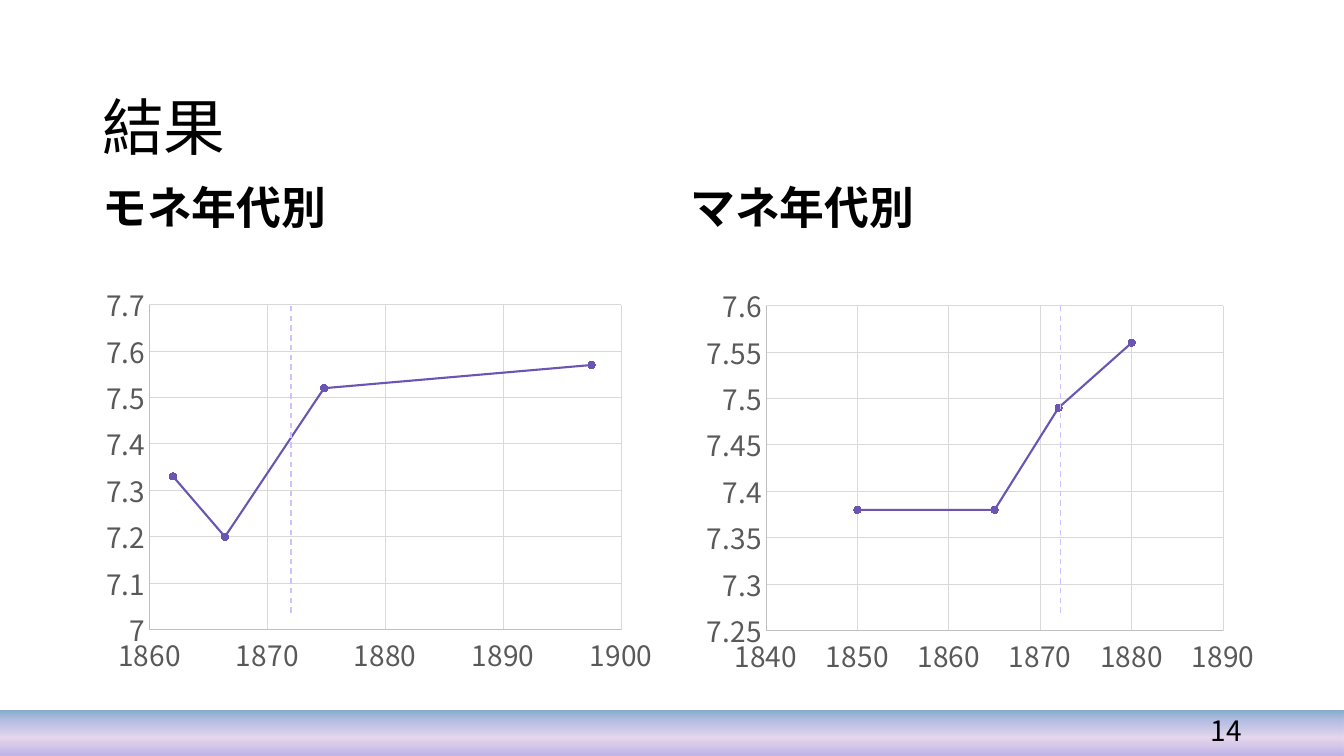
"""Build the results slide with two scatter charts of values by year."""
from dataclasses import dataclass
from typing import Any

from lxml import etree
from pptx import Presentation
from pptx import util as u
from pptx.chart import data as chart_data
from pptx.dml.color import RGBColor
from pptx.enum import chart as charts, dml, shapes, text
from pptx.oxml import ns, parse_xml

Pt = u.Pt
FONT = "Noto Sans CJK JP"
BLACK = RGBColor(0x00, 0x00, 0x00)
LABEL_GRAY = RGBColor(0x59, 0x59, 0x59)
AXIS_GRAY = RGBColor(0xBF, 0xBF, 0xBF)
GRID_GRAY = RGBColor(0xD9, 0xD9, 0xD9)
SERIES_PURPLE = RGBColor(0x6A, 0x56, 0xB2)
MARK_LILAC = RGBColor(0xD1, 0xC1, 0xFE)
BAND_STOPS = (
    (0, RGBColor(0xBD, 0xB2, 0xE7), 100),
    (41, RGBColor(0xE1, 0xD0, 0xE9), 83),
    (76, RGBColor(0x98, 0xA4, 0xD8), 70),
    (100, RGBColor(0x53, 0x89, 0xB5), 70),
)
PAGE_WIDTH, PAGE_HEIGHT = 960, 540
BAND_HEIGHT = 32.4
YEAR_LINE_TOP, YEAR_LINE_BOTTOM = 218.9, 437.8


@dataclass
class Band:
    top: float
    angle: int


@dataclass
class Label:
    words: str
    frame: tuple[float, float, float, float]
    size: float
    anchor: Any
    bold: bool = False
    align: Any = text.PP_ALIGN.LEFT
    spacing: float = 1.0
    top_inset: float = 3.6


@dataclass
class Scale:
    low: float
    high: float
    step: float


@dataclass
class YearChart:
    frame: tuple[float, float, float, float]
    plot_area: tuple[float, float, float, float]
    years: Scale
    values: Scale
    points: tuple[tuple[float, float], ...]
    marked_x: float


BANDS = (Band(-2.2, 90), Band(PAGE_HEIGHT - BAND_HEIGHT, 270))
HEADING = {"size": 32, "anchor": text.MSO_ANCHOR.TOP, "bold": True,
           "spacing": 0.9, "top_inset": 0}
LABELS = (
    Label("結果", (66, 52.6, 828, 80.6), 44, text.MSO_ANCHOR.MIDDLE, spacing=0.9),
    Label("モネ年代別", (66, 132.5, 406, 64.8), **HEADING),
    Label("マネ年代別", (486, 132.5, 408, 64.8), **HEADING),
    Label("14", (678, 507.6, 216, 28.8), 20, text.MSO_ANCHOR.MIDDLE,
          align=text.PP_ALIGN.RIGHT),
)
CHARTS = (
    YearChart((66.2, 197.3, 406, 290.2), (0.1, 0.07, 0.83, 0.8),
              Scale(1860, 1900, 10), Scale(7, 7.7, 0.1),
              ((1862, 7.33), (1866.4, 7.2), (1874.8, 7.52), (1897.5, 7.57)), 208),
    YearChart((498.2, 198, 408.2, 290.2), (0.12, 0.07, 0.8, 0.8),
              Scale(1840, 1890, 10), Scale(7.25, 7.6, 0.05),
              ((1850, 7.38), (1865, 7.38), (1872, 7.49), (1880, 7.56)), 757.4),
)


def apply_format(target: Any, values: dict[str, Any]) -> None:
    """Set each named attribute on the target."""
    for name, value in values.items():
        setattr(target, name, value)


def style_font(font: Any, size: float, color: RGBColor, bold: bool = False) -> None:
    """Give a font its size, weight, colour and typeface."""
    apply_format(font, {"size": Pt(size), "bold": bold, "name": FONT})
    font.color.rgb = color


def style_line(line: Any, color: RGBColor, width: float) -> None:
    """Give a line its colour and width."""
    line.color.rgb = color
    line.width = Pt(width)


def add_band(page: Any, band: Band) -> None:
    """Draw a full-width gradient band."""
    box = page.shapes.add_shape(
        shapes.MSO_SHAPE.RECTANGLE, Pt(0), Pt(band.top), Pt(PAGE_WIDTH), Pt(BAND_HEIGHT))
    box.shadow.inherit = False
    box.line.fill.background()
    stops = "".join(
        f'<a:gs pos="{position * 1000}"><a:srgbClr val="{color}">'
        f'<a:alpha val="{alpha * 1000}"/></a:srgbClr></a:gs>'
        for position, color, alpha in BAND_STOPS)
    gradient = parse_xml(
        f'<a:gradFill {ns.nsdecls("a")}><a:gsLst>{stops}</a:gsLst>'
        f'<a:lin ang="{band.angle * 60000}" scaled="0"/></a:gradFill>')
    box.element.spPr.find(ns.qn("a:prstGeom")).addnext(gradient)


def add_label(page: Any, label: Label) -> None:
    """Draw one line of text in its box."""
    box = page.shapes.add_textbox(*map(Pt, label.frame))
    apply_format(box.text_frame, {
        "word_wrap": True, "vertical_anchor": label.anchor,
        "margin_top": Pt(label.top_inset)})
    para = box.text_frame.paragraphs[0]
    apply_format(para, {"alignment": label.align, "line_spacing": label.spacing})
    span = para.add_run()
    span.text = label.words
    style_font(span.font, label.size, BLACK, label.bold)
    east_asian = etree.SubElement(span.font._element, ns.qn("a:ea"))
    east_asian.set("typeface", FONT)


def style_axis(axis: Any, scale: Scale) -> None:
    """Set the scale, grid and labels of an axis."""
    apply_format(axis, {
        "minimum_scale": scale.low, "maximum_scale": scale.high,
        "major_unit": scale.step, "has_major_gridlines": True,
        "major_tick_mark": charts.XL_TICK_MARK.NONE,
        "minor_tick_mark": charts.XL_TICK_MARK.NONE})
    style_line(axis.format.line, AXIS_GRAY, 0.75)
    style_line(axis.major_gridlines.format.line, GRID_GRAY, 0.75)
    apply_format(axis.tick_labels, {"number_format": "General",
                                    "number_format_is_linked": False})
    style_font(axis.tick_labels.font, 20, LABEL_GRAY)


def place_plot(chart: Any, plot_area: tuple[float, float, float, float]) -> None:
    """Fix the inner plot area as fractions of the chart."""
    area = chart._chartSpace.chart.plotArea
    for old in area.findall(ns.qn("c:layout")):
        area.remove(old)
    sizes = "".join(f'<c:{name} val="{value}"/>'
                    for name, value in zip("xywh", plot_area))
    area.insert(0, parse_xml(
        f'<c:layout {ns.nsdecls("c")}><c:manualLayout><c:layoutTarget val="inner"/>'
        f'<c:xMode val="edge"/><c:yMode val="edge"/>{sizes}'
        '</c:manualLayout></c:layout>'))


def add_year_chart(page: Any, item: YearChart) -> None:
    """Draw a scatter chart of values by year."""
    table = chart_data.XyChartData()
    points = table.add_series("Series 1")
    for year, value in item.points:
        points.add_data_point(year, value)
    chart = page.shapes.add_chart(
        charts.XL_CHART_TYPE.XY_SCATTER_LINES, *map(Pt, item.frame), table).chart
    apply_format(chart, {"has_title": False, "has_legend": False})
    style_font(chart.font, 20, BLACK)
    style_axis(chart.category_axis, item.years)
    style_axis(chart.value_axis, item.values)
    place_plot(chart, item.plot_area)
    plot = chart.plots[0]
    plot.vary_by_categories = False
    series = plot.series[0]
    series.smooth = False
    style_line(series.format.line, SERIES_PURPLE, 1.5)
    apply_format(series.marker, {"style": charts.XL_MARKER_STYLE.CIRCLE, "size": 5})
    series.marker.format.fill.solid()
    series.marker.format.fill.fore_color.rgb = SERIES_PURPLE
    style_line(series.marker.format.line, SERIES_PURPLE, 0.75)


def add_year_line(page: Any, x: float) -> None:
    """Draw a dashed vertical line at a marked year."""
    line = page.shapes.add_connector(
        shapes.MSO_CONNECTOR.STRAIGHT, Pt(x), Pt(YEAR_LINE_BOTTOM), Pt(x), Pt(YEAR_LINE_TOP))
    style_line(line.line, MARK_LILAC, 1)
    line.line.dash_style = dml.MSO_LINE.DASH
    etree.SubElement(line.element.spPr, ns.qn("a:effectLst"))


def main() -> None:
    """Build and save the deck."""
    deck = Presentation()
    apply_format(deck, {"slide_width": Pt(PAGE_WIDTH), "slide_height": Pt(PAGE_HEIGHT)})
    page = deck.slides.add_slide(deck.slide_layouts[6])
    for band in BANDS:
        add_band(page, band)
    for label in LABELS:
        add_label(page, label)
    for item in CHARTS:
        add_year_chart(page, item)
        add_year_line(page, item.marked_x)
    deck.save("out.pptx")


if __name__ == "__main__":
    main()
